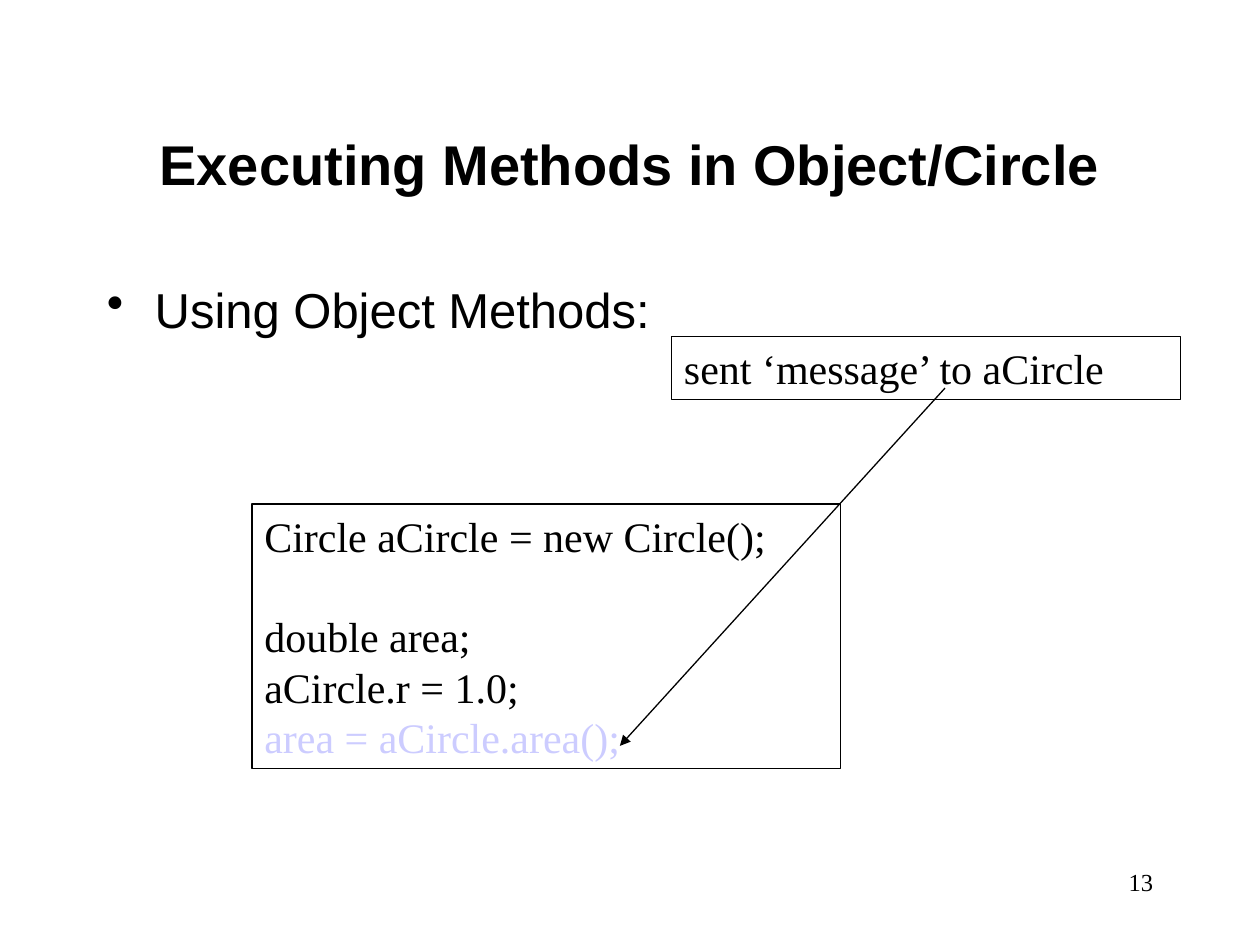
from dataclasses import dataclass

from lxml.etree import SubElement
from pptx import Presentation
from pptx.dml.color import RGBColor
from pptx.enum.shapes import MSO_CONNECTOR
from pptx.enum.text import MSO_ANCHOR, MSO_AUTO_SIZE, PP_ALIGN
from pptx.oxml.ns import qn
from pptx.slide import Slide
from pptx.util import Inches, Pt


@dataclass(frozen=True)
class Theme:
    ink: RGBColor = RGBColor(0, 0, 0)
    accent: RGBColor = RGBColor(0xCC, 0xCC, 0xFF)
    sans: str = "Arial"
    serif: str = "Times New Roman"
    title: Pt = Pt(32)
    body: Pt = Pt(28)
    code: Pt = Pt(24)
    number: Pt = Pt(14)
    leading: Pt = Pt(28.8)
    line: Pt = Pt(0.75)


THEME = Theme()


@dataclass(frozen=True)
class Line:
    text: str
    color: RGBColor = THEME.ink
    before: Pt = Pt(0)


@dataclass(frozen=True)
class Box:
    left: float
    top: float
    width: float
    height: float
    lines: tuple[Line, ...]
    size: Pt
    font: str = THEME.serif
    bold: bool = False
    align: PP_ALIGN = PP_ALIGN.LEFT
    anchor: MSO_ANCHOR = MSO_ANCHOR.TOP
    bullet: bool = False
    framed: bool = False


TITLE = Box(0.75, 0.67, 8.5, 1.25, (Line("Executing Methods in Object/Circle"),),
            THEME.title, THEME.sans, bold=True, align=PP_ALIGN.CENTER,
            anchor=MSO_ANCHOR.MIDDLE)
BODY = Box(0.75, 2.17, 8.5, 4.5, (Line("Using Object Methods:"),),
           THEME.body, THEME.sans, bullet=True)
CODE = Box(2, 4, 4.67, 2.1, (
    Line("Circle aCircle = new Circle();"),
    Line("double area;", before=THEME.leading),
    Line("aCircle.r = 1.0;"),
    Line("area = aCircle.area();", THEME.accent),
), THEME.code, framed=True)
NOTE = Box(5.33, 2.67, 4.04, 0.5, (Line("sent ‘message’ to aCircle"),),
           THEME.code, framed=True)
NUMBER = Box(7.17, 6.83, 2.08, 0.5, (Line("13"),), THEME.number,
             align=PP_ALIGN.RIGHT)


def add_box(slide: Slide, box: Box) -> None:
    shape = slide.shapes.add_textbox(
        Inches(box.left), Inches(box.top), Inches(box.width), Inches(box.height))
    frame = shape.text_frame
    frame.word_wrap = True
    frame.vertical_anchor = box.anchor
    if box.framed:
        frame.auto_size = MSO_AUTO_SIZE.SHAPE_TO_FIT_TEXT
        shape.line.color.rgb = THEME.ink
        shape.line.width = THEME.line
    for index, line in enumerate(box.lines):
        para = frame.add_paragraph() if index else frame.paragraphs[0]
        para.text = line.text
        para.alignment = box.align
        if box.framed:
            para.line_spacing = THEME.leading
        if line.before:
            para.space_before = line.before
        if box.bullet:
            props = para._p.get_or_add_pPr()
            props.set("marL", str(Inches(0.38)))
            props.set("indent", str(-Inches(0.38)))
            SubElement(props, qn("a:buChar"), char="•")
        para.font.name = box.font
        para.font.size = box.size
        para.font.bold = box.bold
        para.font.color.rgb = line.color


def add_arrow(slide: Slide, x1: float, y1: float, x2: float, y2: float) -> None:
    arrow = slide.shapes.add_connector(
        MSO_CONNECTOR.STRAIGHT, Inches(x1), Inches(y1), Inches(x2), Inches(y2))
    arrow.line.color.rgb = THEME.ink
    arrow.line.width = THEME.line
    SubElement(arrow.line._get_or_add_ln(), qn("a:tailEnd"), type="triangle")
    SubElement(arrow._element.spPr, qn("a:effectLst"))


def main() -> None:
    deck = Presentation()
    deck.slide_width = Inches(10)
    deck.slide_height = Inches(7.5)
    slide = deck.slides.add_slide(deck.slide_layouts[6])
    for box in (TITLE, BODY, CODE):
        add_box(slide, box)
    add_arrow(slide, 7.5, 3.08, 4.92, 5.92)
    for box in (NOTE, NUMBER):
        add_box(slide, box)
    deck.save("out.pptx")


if __name__ == "__main__":
    main()
